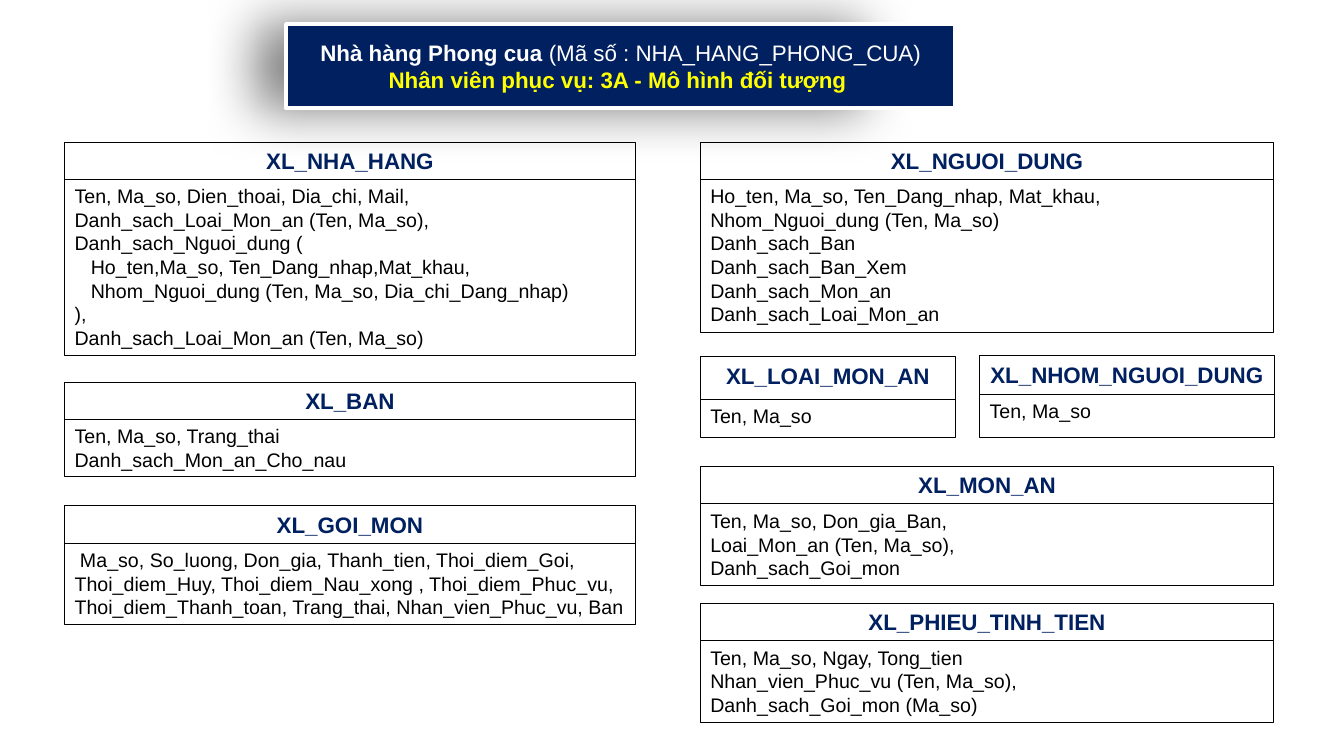
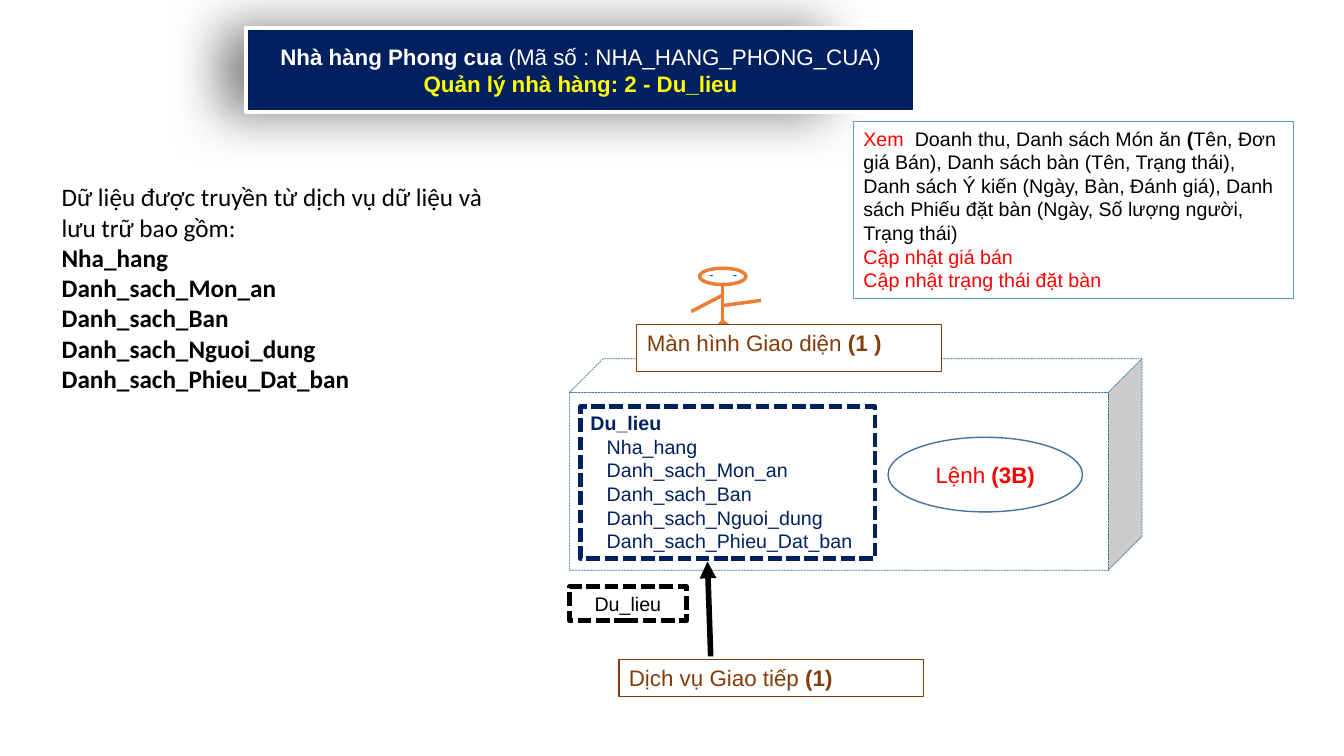
"""Build two slides on the object model and data of a restaurant system."""
import pptx
import pptx.dml.color
import pptx.enum.dml
import pptx.enum.shapes
import pptx.enum.text
import pptx.oxml
import pptx.oxml.ns
import pptx.util

Cm = pptx.util.Cm
Pt = pptx.util.Pt
RGBColor = pptx.dml.color.RGBColor
Preset = pptx.enum.shapes.MSO_SHAPE
Align = pptx.enum.text.PP_ALIGN
Anchor = pptx.enum.text.MSO_ANCHOR
DASH = pptx.enum.dml.MSO_LINE.SQUARE_DOT

NAVY = RGBColor(0x00, 0x20, 0x60)
WHITE = RGBColor(0xFF, 0xFF, 0xFF)
BLACK = RGBColor(0x00, 0x00, 0x00)
YELLOW = RGBColor(0xFF, 0xFF, 0x00)
RED = RGBColor(0xFF, 0x00, 0x00)
BROWN = RGBColor(0x84, 0x3C, 0x0B)
ORANGE = RGBColor(0xED, 0x7D, 0x31)
STEEL = RGBColor(0x43, 0x73, 0x9E)
SKY = RGBColor(0x5B, 0x9B, 0xD5)
EYE_BLUE = RGBColor(0x00, 0x70, 0xC0)

SMALL = {"name": "Arial", "size": Pt(14), "bold": False, "color": BLACK}
LARGE = {**SMALL, "size": Pt(16)}
HEADING = {**LARGE, "bold": True, "color": NAVY}
BOLD = {"bold": True}
INDENT = Cm(0.41)
HEADER_HEIGHT = 0.94
LEFT_COLUMN = (1.63, 14.38)
RIGHT_COLUMN = (17.65, 14.45)

CLASSES = [
    ("XL_NHA_HANG", LEFT_COLUMN, 3.58, HEADER_HEIGHT, 4.45, [
        "Ten, Ma_so, Dien_thoai, Dia_chi, Mail,",
        "Danh_sach_Loai_Mon_an (Ten, Ma_so),",
        "Danh_sach_Nguoi_dung (",
        "Ho_ten,Ma_so, Ten_Dang_nhap,Mat_khau,",
        "Nhom_Nguoi_dung (Ten, Ma_so, Dia_chi_Dang_nhap)",
        "),",
        "Danh_sach_Loai_Mon_an (Ten, Ma_so)"], (3, 4)),
    ("XL_BAN", LEFT_COLUMN, 9.63, HEADER_HEIGHT, 1.45, [
        "Ten, Ma_so, Trang_thai", "Danh_sach_Mon_an_Cho_nau"], ()),
    ("XL_GOI_MON", LEFT_COLUMN, 12.75, HEADER_HEIGHT, 2.05, [
        " Ma_so, So_luong, Don_gia, Thanh_tien, Thoi_diem_Goi, "
        "Thoi_diem_Huy, Thoi_diem_Nau_xong , Thoi_diem_Phuc_vu, "
        "Thoi_diem_Thanh_toan, Trang_thai, Nhan_vien_Phuc_vu, Ban"], ()),
    ("XL_NGUOI_DUNG", RIGHT_COLUMN, 3.58, HEADER_HEIGHT, 3.85, [
        "Ho_ten, Ma_so, Ten_Dang_nhap, Mat_khau, "
        "Nhom_Nguoi_dung (Ten, Ma_so)",
        "Danh_sach_Ban", "Danh_sach_Ban_Xem", "Danh_sach_Mon_an",
        "Danh_sach_Loai_Mon_an"], ()),
    ("XL_LOAI_MON_AN", (17.65, 6.43), 8.99, 1.07, 0.97, ["Ten, Ma_so"], ()),
    ("XL_NHOM_NGUOI_DUNG", (24.69, 7.42), 8.97, 0.97, 1.09,
     ["Ten, Ma_so"], ()),
    ("XL_MON_AN", RIGHT_COLUMN, 11.76, HEADER_HEIGHT, 2.05, [
        "Ten, Ma_so, Don_gia_Ban,", "Loai_Mon_an (Ten, Ma_so),",
        "Danh_sach_Goi_mon"], ()),
    ("XL_PHIEU_TINH_TIEN", RIGHT_COLUMN, 15.21, HEADER_HEIGHT, 2.05, [
        "Ten, Ma_so, Ngay, Tong_tien", "Nhan_vien_Phuc_vu (Ten, Ma_so),",
        "Danh_sach_Goi_mon (Ma_so)"], ()),
]

DATA_LISTS = ["Nha_hang", "Danh_sach_Mon_an", "Danh_sach_Ban",
              "Danh_sach_Nguoi_dung", "Danh_sach_Phieu_Dat_ban"]


def place(shape, left, top, width, height):
    """Move and size a shape, in centimetres."""
    box = {"left": left, "top": top, "width": width, "height": height}
    for name, value in box.items():
        setattr(shape, name, Cm(value))


def format_line(line, color, width, dash=None):
    """Set the colour, width and dash of a line."""
    line.color.rgb = color
    line.width = Pt(width)
    if dash is not None:
        line.dash_style = dash


def format_font(font, formats):
    """Apply a dict of format values to a font."""
    for name, value in formats.items():
        if name == "color":
            font.color.rgb = value
        else:
            setattr(font, name, value)


def write_text(shape, paragraphs, formats, align=Align.LEFT,
               anchor=Anchor.TOP, indented=()):
    """Write paragraphs, each a string or a list of (text, formats) runs."""
    frame = shape.text_frame
    frame.word_wrap = True
    frame.auto_size = pptx.enum.text.MSO_AUTO_SIZE.NONE
    frame.vertical_anchor = anchor
    for index, runs in enumerate(paragraphs):
        paragraph = frame.add_paragraph() if index else frame.paragraphs[0]
        paragraph.alignment = align
        paragraph.space_before = Pt(0)
        properties = paragraph._p.get_or_add_pPr()
        properties.set("marL", str(INDENT if index in indented else 0))
        properties.set("indent", "0")
        if isinstance(runs, str):
            runs = [(runs, {})]
        for text, changes in runs:
            run = paragraph.add_run()
            run.text = text
            format_font(run.font, {**formats, **changes})


def add_box(shapes, preset, box, outline, fill=WHITE):
    """Add a preset shape with a solid fill, or none, and an outline."""
    shape = shapes.add_shape(preset, *map(Cm, box))
    shape.shadow.inherit = False
    if fill is None:
        shape.fill.background()
    else:
        shape.fill.solid()
        shape.fill.fore_color.rgb = fill
    format_line(shape.line, *outline)
    return shape


def add_line(shapes, start, end, color, width):
    """Add a straight connector without a shadow."""
    connector = shapes.add_connector(
        pptx.enum.shapes.MSO_CONNECTOR.STRAIGHT, *map(Cm, start + end))
    format_line(connector.line, color, width)
    connector._element.spPr.append(pptx.oxml.parse_xml(
        f"<a:effectLst {pptx.oxml.ns.nsdecls('a')}/>"))
    return connector


def add_arrow(shapes, start, end, color, width):
    """Add a connector with a triangle at its end."""
    arrow = add_line(shapes, start, end, color, width)
    arrow.line._get_or_add_ln().append(pptx.oxml.parse_xml(
        f"<a:tailEnd {pptx.oxml.ns.nsdecls('a')} type='triangle'/>"))


def format_title(slide, left, top, subtitle):
    """Turn the title placeholder into the rounded navy banner."""
    title = slide.shapes.title
    place(title, left, top, 16.87, 2.11)
    namespace = pptx.oxml.ns.nsdecls("a")
    properties = title._element.spPr
    properties.append(pptx.oxml.parse_xml(
        f"<a:prstGeom {namespace} prst='roundRect'><a:avLst/></a:prstGeom>"))
    title.fill.solid()
    title.fill.fore_color.rgb = NAVY
    format_line(title.line, WHITE, 3)
    properties.append(pptx.oxml.parse_xml(
        f"<a:effectLst {namespace}><a:outerShdw blurRad='{Pt(38)}' dist='0' "
        "dir='5400000' sx='90000' algn='ctr' rotWithShape='0'>"
        "<a:srgbClr val='000000'><a:alpha val='49000'/></a:srgbClr>"
        "</a:outerShdw></a:effectLst>"))
    write_text(title, [
        [("Nhà hàng Phong cua ", BOLD), ("(Mã số : NHA_HANG_PHONG_CUA)", {})],
        [(subtitle, {"bold": True, "color": YELLOW})],
    ], {**LARGE, "color": WHITE}, Align.CENTER, Anchor.MIDDLE)


def add_class(slide, name, column, top, header, body, fields, indented):
    """Add a class box: a heading above its list of fields."""
    left, width = column
    outline = (BLACK, 0.75)
    heading = add_box(slide.shapes, Preset.RECTANGLE,
                      (left, top, width, header), outline, None)
    write_text(heading, [name], HEADING, Align.CENTER)
    content = add_box(slide.shapes, Preset.RECTANGLE,
                      (left, top + header, width, body), outline, None)
    write_text(content, fields, SMALL, indented=indented)


def add_label(slide, box, text, number):
    """Add a brown framed label with a bold number."""
    label = add_box(slide.shapes, Preset.RECTANGLE, box, (BROWN, 0.75))
    write_text(label, [[(text, {}), (number, BOLD)]],
               {**LARGE, "color": BROWN})


def add_user(slide):
    """Add the stick figure of a user as one group."""
    shapes = slide.shapes.add_group_shape().shapes
    add_box(shapes, Preset.OVAL, (17.63, 6.76, 1.17, 0.41), (ORANGE, 2.5))
    neck, hip = (18.21, 7.16), (18.21, 8.1)
    limbs = [(neck, hip), ((18.21, 7.44), (17.42, 7.85)),
             (hip, (18.8, 8.51)), (hip, (17.83, 8.51)),
             ((18.21, 7.7), (19.18, 7.57))]
    for start, end in limbs:
        add_line(shapes, start, end, ORANGE, 2.5)
    for left in (17.83, 18.42):
        add_box(shapes, Preset.OVAL, (left, 6.88, 0.2, 0.13),
                (WHITE, 2.5), EYE_BLUE)


def format_list(placeholder):
    """Fill the body placeholder with the list of transferred data."""
    place(placeholder, 1.3, 4.45, 11.51, 5.64)
    introduction = "Dữ liệu được truyền từ dịch vụ dữ liệu và lưu trữ bao gồm:"
    write_text(placeholder,
               [introduction] + [[(name, BOLD)] for name in DATA_LISTS],
               {**SMALL, "name": "Calibri", "size": Pt(18)})
    for paragraph in placeholder.text_frame.paragraphs:
        paragraph._p.get_or_add_pPr().append(pptx.oxml.parse_xml(
            f"<a:buNone {pptx.oxml.ns.nsdecls('a')}/>"))


def build_object_model(presentation):
    """Build the slide of classes."""
    slide = presentation.slides.add_slide(presentation.slide_layouts[5])
    format_title(slide, 7.21, 0.61,
                 "Nhân viên phục vụ: 3A - Mô hình đối tượng ")
    for entry in CLASSES:
        add_class(slide, *entry)


def build_data(presentation):
    """Build the slide of the manager's data."""
    slide = presentation.slides.add_slide(presentation.slide_layouts[1])
    shapes = slide.shapes
    format_title(slide, 6.2, 0.71, "Quản lý nhà hàng: 2 - Du_lieu")
    format_list(slide.placeholders[1])

    cube = add_box(shapes, Preset.CUBE, (14.35, 9.04, 14.43, 5.33),
                   (STEEL, 0.5, DASH))
    cube.adjustments[0] = 0.16
    data = add_box(shapes, Preset.RECTANGLE, (14.63, 10.24, 7.42, 3.84),
                   (NAVY, 3.25, DASH))
    write_text(data, [[("Du_lieu", BOLD)]] + DATA_LISTS,
               {**SMALL, "color": NAVY},
               indented=range(1, len(DATA_LISTS) + 1))

    add_user(slide)
    add_label(slide, (16.05, 8.18, 7.67, 1.19), "Màn hình Giao diện ", "(1 )")
    add_label(slide, (15.6, 16.61, 7.67, 0.94), "Dịch vụ Giao tiếp ", "(1)")
    add_arrow(shapes, (17.91, 16.54), (17.83, 14.15), BLACK, 4)
    message = add_box(shapes, Preset.RECTANGLE, (14.35, 14.78, 2.95, 0.86),
                      (BLACK, 3.25, DASH))
    write_text(message, ["Du_lieu"], SMALL, Align.CENTER)

    tasks = add_box(shapes, Preset.RECTANGLE, (21.51, 3.07, 11.1, 4.45),
                    (SKY, 0.75))
    red = {"color": RED}
    write_text(tasks, [
        [("Xem  ", red), ("Doanh thu, Danh sách Món ăn", {}), (" (", BOLD),
         ("Tên, Đơn giá Bán), Danh sách bàn (Tên, Trạng thái), "
          "Danh sách Ý kiến (Ngày, Bàn, Đánh giá), Danh sách Phiếu đặt bàn "
          "(Ngày, Số lượng người, Trạng thái)", {})],
        [("Cập nhật giá bán", red)],
        [("Cập nhật trạng thái đặt bàn", red)],
    ], SMALL)
    command = add_box(shapes, Preset.OVAL, (22.38, 11.02, 4.9, 1.88),
                      (STEEL, 1))
    write_text(command, [[("Lệnh ", {}), ("(3B)", BOLD)]],
               {**LARGE, "color": RED}, Align.CENTER, Anchor.MIDDLE)


def main():
    """Build and save the presentation."""
    presentation = pptx.Presentation()
    presentation.slide_width = Cm(33.87)
    presentation.slide_height = Cm(19.05)
    build_object_model(presentation)
    build_data(presentation)
    presentation.save("out.pptx")


if __name__ == "__main__":
    main()
